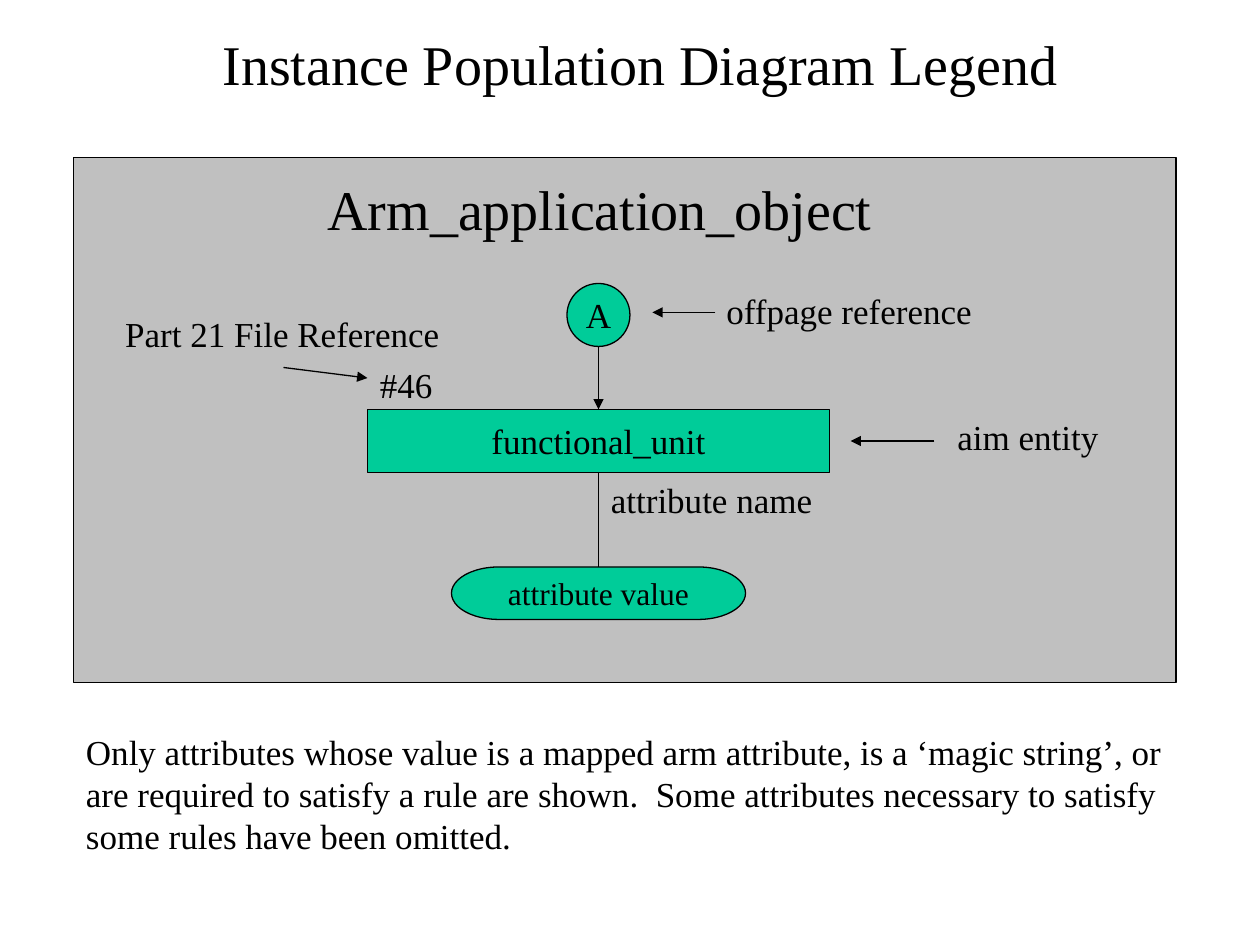
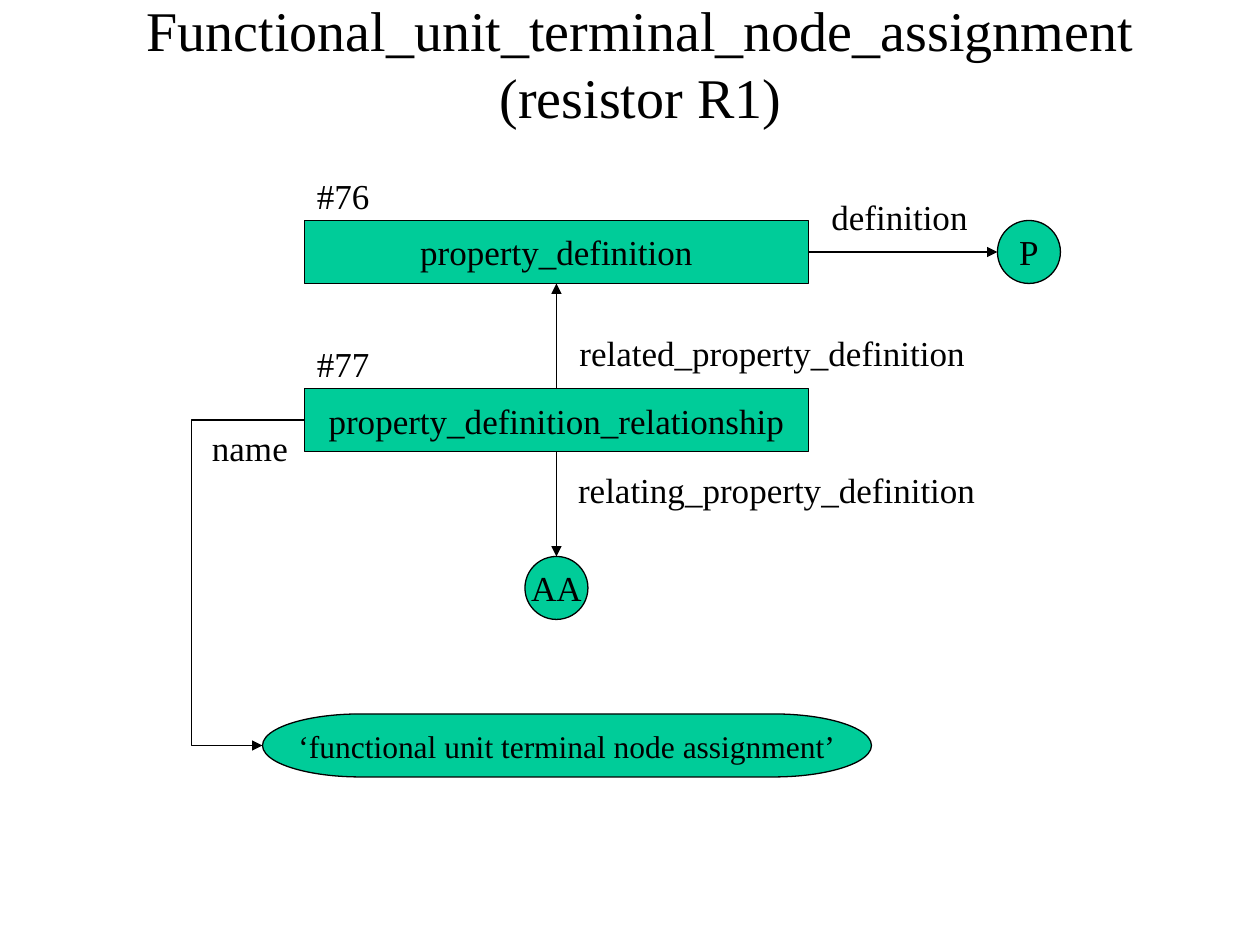
from dataclasses import dataclass
from typing import NamedTuple

from lxml.etree import SubElement
from pptx import Presentation
from pptx.dml.color import RGBColor
from pptx.enum.shapes import MSO_CONNECTOR, MSO_SHAPE
from pptx.enum.text import MSO_ANCHOR, MSO_AUTO_SIZE, PP_ALIGN
from pptx.oxml.ns import qn
from pptx.util import Emu, Pt

EMU_PER_PX = 9525  # 96 px to the inch


@dataclass(frozen=True)
class Theme:
    font: str = "Times New Roman"
    ink: RGBColor = RGBColor(0x00, 0x00, 0x00)
    node: RGBColor = RGBColor(0x00, 0xCC, 0x99)
    panel: RGBColor = RGBColor(0xC0, 0xC0, 0xC0)
    title_size: int = 32
    body_size: int = 20
    value_size: int = 18
    line_width: float = 0.75


THEME = Theme()


class Node(NamedTuple):
    kind: MSO_SHAPE
    x: int
    y: int
    w: int
    h: int
    text: str = ""
    size: int = THEME.body_size
    fill: RGBColor = THEME.node


class Label(NamedTuple):
    x: int
    y: int
    w: int
    text: str
    h: int = 42
    size: int = THEME.body_size
    wrap: bool = False


class Link(NamedTuple):
    x1: int
    y1: int
    x2: int
    y2: int
    arrow: bool = True
    bend_x: int | None = None  # x of the middle leg of an elbow


@dataclass(frozen=True)
class Diagram:
    title: str
    nodes: list[Node]
    links: list[Link]
    labels: list[Label]


def px(n: int) -> Emu:
    return Emu(n * EMU_PER_PX)


# Kinds of node
def entity(x: int, y: int, w: int, text: str) -> Node:
    return Node(MSO_SHAPE.RECTANGLE, x, y, w, 48, text)


def reference(x: int, y: int, text: str) -> Node:
    return Node(MSO_SHAPE.FLOWCHART_CONNECTOR, x, y, 48, 48, text)


def value(x: int, y: int, w: int, h: int, text: str) -> Node:
    return Node(MSO_SHAPE.FLOWCHART_TERMINATOR, x, y, w, h, text, THEME.value_size)


# Shared formatting
def format_text(tf, size: int, align: PP_ALIGN) -> None:
    for p in tf.paragraphs:
        p.alignment = align
        for r in p.runs:
            r.font.name = THEME.font
            r.font.size = Pt(size)
            r.font.color.rgb = THEME.ink


def format_line(line) -> None:
    line.color.rgb = THEME.ink
    line.width = Pt(THEME.line_width)


# Drawing
def draw_title(slide, text: str) -> None:
    sp = slide.shapes.title
    sp.left, sp.top, sp.width, sp.height = px(80), px(16), px(816), px(64)
    tf = sp.text_frame
    tf.text = text
    tf.auto_size = MSO_AUTO_SIZE.NONE
    tf.vertical_anchor = MSO_ANCHOR.MIDDLE
    format_text(tf, THEME.title_size, PP_ALIGN.CENTER)


def draw_node(slide, node: Node) -> None:
    sp = slide.shapes.add_shape(node.kind, px(node.x), px(node.y), px(node.w), px(node.h))
    sp.shadow.inherit = False
    sp.fill.solid()
    sp.fill.fore_color.rgb = node.fill
    format_line(sp.line)
    if node.text:
        tf = sp.text_frame
        tf.text = node.text
        tf.word_wrap = False
        tf.vertical_anchor = MSO_ANCHOR.MIDDLE
        format_text(tf, node.size, PP_ALIGN.CENTER)


def draw_label(slide, label: Label) -> None:
    sp = slide.shapes.add_textbox(px(label.x), px(label.y), px(label.w), px(label.h))
    tf = sp.text_frame
    tf.text = label.text
    tf.word_wrap = label.wrap
    tf.auto_size = MSO_AUTO_SIZE.SHAPE_TO_FIT_TEXT
    format_text(tf, label.size, PP_ALIGN.LEFT)


def draw_link(slide, link: Link) -> None:
    kind = MSO_CONNECTOR.STRAIGHT if link.bend_x is None else MSO_CONNECTOR.ELBOW
    cx = slide.shapes.add_connector(kind, px(link.x1), px(link.y1), px(link.x2), px(link.y2))
    format_line(cx.line)
    sp_pr = cx._element.spPr
    if link.bend_x is not None:
        ratio = (link.bend_x - link.x1) / (link.x2 - link.x1)
        guides = sp_pr.find(qn("a:prstGeom")).get_or_add_avLst()
        SubElement(guides, qn("a:gd"), name="adj1", fmla=f"val {round(ratio * 100000)}")
    if link.arrow:
        SubElement(cx.line._get_or_add_ln(), qn("a:tailEnd"), type="triangle")
    SubElement(sp_pr, qn("a:effectLst"))


def draw_diagram(prs, diagram: Diagram) -> None:
    slide = prs.slides.add_slide(prs.slide_layouts[5])
    draw_title(slide, diagram.title)
    for node in diagram.nodes:
        draw_node(slide, node)
    for link in diagram.links:
        draw_link(slide, link)
    for label in diagram.labels:
        draw_label(slide, label)


# Slide content
LEGEND = Diagram(
    title="Instance Population Diagram Legend",
    nodes=[
        Node(MSO_SHAPE.RECTANGLE, 56, 120, 840, 400, fill=THEME.panel),
        entity(280, 312, 352, "functional_unit"),
        reference(432, 216, "A"),
        value(344, 432, 224, 40, "attribute value"),
    ],
    links=[
        Link(456, 264, 456, 312),
        Link(456, 360, 456, 432, arrow=False),
        Link(712, 336, 648, 336),
        Link(216, 280, 280, 288),
        Link(545, 238, 497, 238),
    ],
    labels=[
        Label(280, 272, 59, "#46"),
        Label(456, 360, 173, "attribute name"),
        Label(720, 312, 127, "aim entity"),
        Label(86, 233, 262, "Part 21 File Reference"),
        Label(544, 216, 210, "offpage reference"),
        Label(240, 128, 438, "Arm_application_object", 61, THEME.title_size),
        Label(
            56, 552, 840,
            "Only attributes whose value is a mapped arm attribute, is a ‘magic string’, "
            "or are required to satisfy a rule are shown.  Some attributes necessary to "
            "satisfy some rules have been omitted.",
            h=106, wrap=True,
        ),
    ],
)

ASSIGNMENT = Diagram(
    title="Functional_unit_terminal_node_assignment\v(resistor R1)",
    nodes=[
        entity(232, 168, 384, "property_definition"),
        entity(232, 296, 384, "property_definition_relationship"),
        value(200, 544, 464, 48, "‘functional unit terminal node assignment’"),
        reference(400, 424, "AA"),
        reference(760, 168, "P"),
    ],
    links=[
        Link(424, 296, 424, 216),
        Link(232, 320, 200, 568, bend_x=146),
        Link(424, 344, 424, 424),
        Link(616, 192, 760, 192),
    ],
    labels=[
        Label(152, 320, 77, "name"),
        Label(432, 248, 313, "related_property_definition"),
        Label(431, 352, 322, "relating_property_definition"),
        Label(624, 144, 123, "definition"),
        Label(232, 128, 59, "#76"),
        Label(232, 256, 59, "#77"),
    ],
)


def main() -> None:
    prs = Presentation()
    prs.slide_width, prs.slide_height = px(960), px(720)
    for diagram in (LEGEND, ASSIGNMENT):
        draw_diagram(prs, diagram)
    prs.save("out.pptx")


if __name__ == "__main__":
    main()
